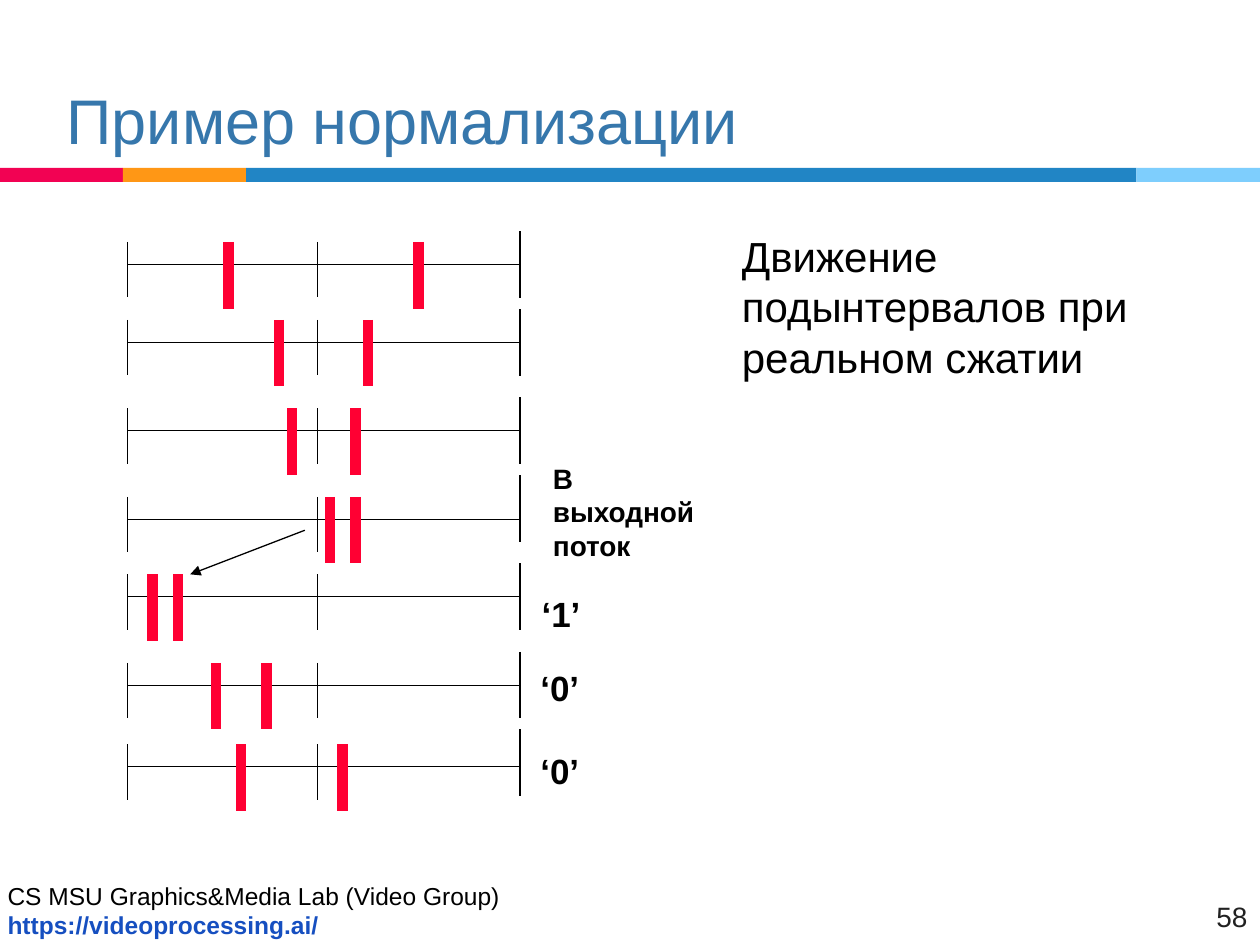
from lxml import etree
from pptx import Presentation
from pptx.dml.color import RGBColor as RGB
from pptx.enum.shapes import MSO_CONNECTOR as Connector, MSO_SHAPE as Shape
from pptx.enum.text import MSO_ANCHOR as Anchor, PP_ALIGN as Align
from pptx.oxml.ns import qn
from pptx.util import Pt

COLORS = {
    "black": "000000", "title": "3677AC", "link": "164FC0", "number": "212121",
    "pink": "F20253", "orange": "FF9715", "blue": "2185C5", "sky": "7ECEFD",
    "mark": "FF0033",
}


class SlideBuilder:
    font = "Arial"

    def __init__(self, slide):
        self.slide = slide

    def color(self, name):
        return RGB.from_string(COLORS[name])

    def bar(self, left, top, width, height, color):
        band = self.slide.shapes.add_shape(
            Shape.RECTANGLE, Pt(left), Pt(top), Pt(width), Pt(height))
        band.shadow.inherit = False
        band.fill.solid()
        band.fill.fore_color.rgb = self.color(color)
        band.line.fill.background()

    def line(self, x1, y1, x2, y2, color="black", width=0.75, arrow=False):
        stroke = self.slide.shapes.add_connector(
            Connector.STRAIGHT, Pt(x1), Pt(y1), Pt(x2), Pt(y2))
        stroke.line.color.rgb = self.color(color)
        stroke.line.width = Pt(width)
        properties = stroke._element.spPr
        if arrow:
            etree.SubElement(properties.find(qn("a:ln")), qn("a:tailEnd"), type="triangle")
        etree.SubElement(properties, qn("a:effectLst"))

    def text(self, left, top, width, height, lines, size, align=Align.LEFT,
             anchor=Anchor.TOP, inset=7.2):
        """Each line is (wording, color, bold)."""
        frame = self.slide.shapes.add_textbox(
            Pt(left), Pt(top), Pt(width), Pt(height)).text_frame
        frame.word_wrap = True
        frame.vertical_anchor = anchor
        frame.margin_left = frame.margin_right = Pt(inset)
        frame.margin_top = frame.margin_bottom = Pt(3.6)
        frame.text = "\n".join(wording for wording, _, _ in lines)
        for paragraph, (_, color, bold) in zip(frame.paragraphs, lines):
            paragraph.alignment = align
            for run in paragraph.runs:
                run.font.name = self.font
                run.font.size = Pt(size)
                run.font.bold = bold
                run.font.color.rgb = self.color(color)

    def interval(self, top, right_top, marks):
        """Number line with end, middle and subinterval marks."""
        axis = top + 12.8
        self.line(LEFT, axis, RIGHT, axis)
        for x in (LEFT, MIDDLE):
            self.line(x, top, x, top + 31.7)
        self.line(RIGHT, right_top, RIGHT, right_top + 38)
        for mark in marks:
            x = LEFT + mark * STEP
            self.line(x, top, x, top + 38, "mark", 6)


# Interval scale: 31 steps, middle at step 15
LEFT, STEP = 72.7, 7.24
MIDDLE, RIGHT = LEFT + 15 * STEP, LEFT + 31 * STEP

# Top of row, top of right end, steps of the two marks
INTERVALS = [
    (138.3, 132.2, (8, 23)),
    (182.8, 176.6, (12, 19)),
    (233.4, 227, (13, 18)),
    (284, 271.5, (16, 18)),
    (328.2, 321.9, (2, 4)),
    (378.8, 372.5, (7, 11)),
    (425.3, 416.7, (9, 17)),
]


def main():
    deck = Presentation()
    deck.slide_width, deck.slide_height = Pt(720), Pt(540)
    page = SlideBuilder(deck.slides.add_slide(deck.slide_layouts[6]))

    # Colour strip under the title
    left = 0
    for color, width in (("pink", 70.3), ("orange", 70.3), ("blue", 508.8), ("sky", 70.6)):
        page.bar(left, 96, width, 8, color)
        left += width

    # Footer and page number
    page.text(0.7, 499.7, 290, 41, [
        ("CS MSU Graphics&Media Lab (Video Group)", "black", False),
        ("https://videoprocessing.ai/", "link", True),
    ], 14, inset=3.6)
    page.text(673.9, 510.5, 46, 24.5, [("58", "number", False)], 16, Align.RIGHT)

    # Title and explanation
    page.text(31, 3.6, 600.5, 90, [("Пример нормализации", "title", False)], 36,
              anchor=Anchor.BOTTOM)
    page.text(416.9, 128.2, 257, 334.8,
              [("Движение подынтервалов при реальном сжатии", "black", False)], 24)

    # Interval rows and the rescaling arrow
    for top, right_top, marks in INTERVALS:
        page.interval(top, right_top, marks)
    page.line(174.2, 303, 108.7, 328.2, arrow=True)

    # Output stream
    page.text(308.9, 260, 108, 64.8, [("В выходной поток", "black", True)], 16)
    for x, y, bit in ((302.4, 334.8, "‘1’"), (301.7, 377.3, "‘0’"), (301.7, 424.8, "‘0’")):
        page.text(x, y, 54.7, 31, [(bit, "black", True)], 20)

    deck.save("out.pptx")


if __name__ == "__main__":
    main()
